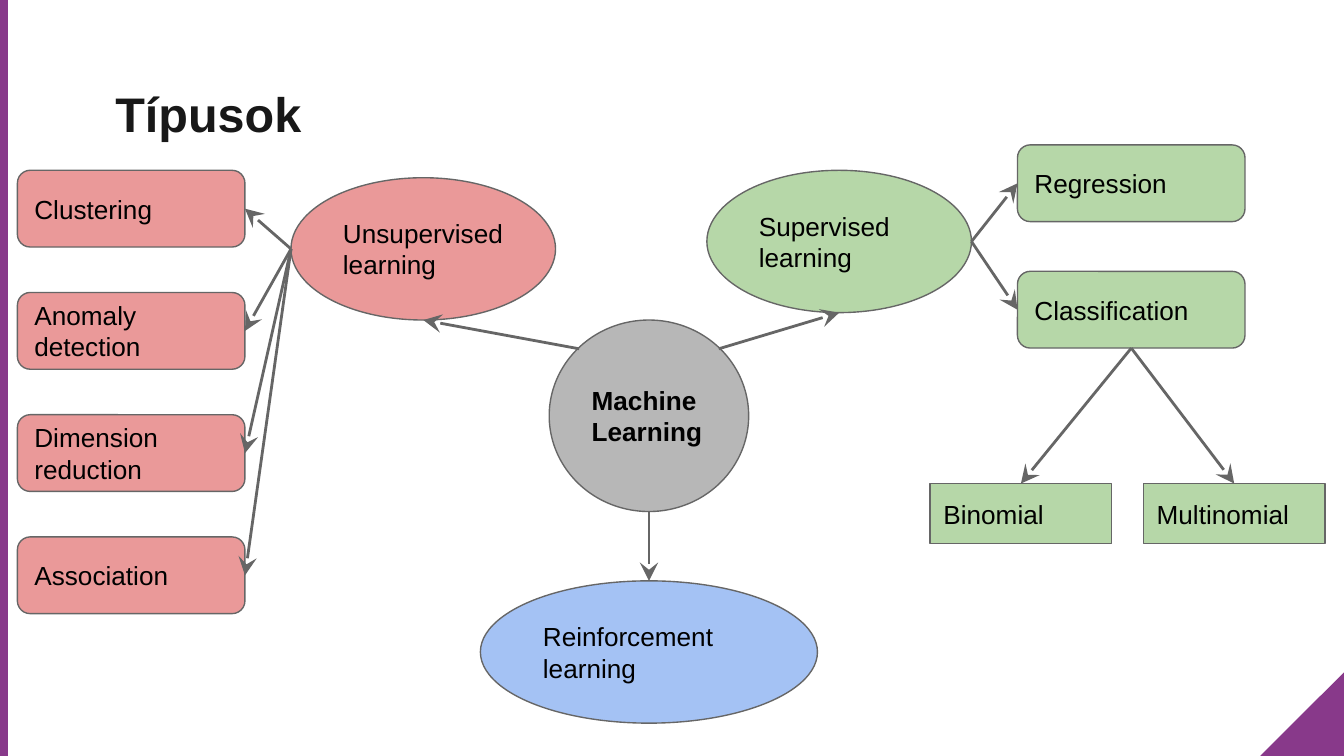
import pptx
import pptx.dml.color
import pptx.enum.shapes
import pptx.enum.text
import pptx.oxml
import pptx.oxml.ns
import pptx.util

Cm = pptx.util.Cm
Pt = pptx.util.Pt
SHAPE = pptx.enum.shapes.MSO_SHAPE
ANCHOR = pptx.enum.text.MSO_ANCHOR

PURPLE, GREEN, RED, BLUE, GREY = "88398A", "B6D7A8", "EA9999", "A4C2F4", "B7B7B7"
TOP, LEFT, BOTTOM, RIGHT = (0.5, 0), (0, 0.5), (0.5, 1), (1, 0.5)
UPPER_LEFT, UPPER_RIGHT = (0.15, 0.15), (0.85, 0.15)
SITES = [TOP, LEFT, BOTTOM, RIGHT]


def rgb(value):
    return pptx.dml.color.RGBColor.from_string(value)


def write(sp, text, size=14, color="000000", bold=False, anchor=ANCHOR.MIDDLE, spacing=1.0):
    tf = sp.text_frame
    tf.word_wrap = True
    tf.vertical_anchor = anchor
    tf.margin_left = tf.margin_right = tf.margin_top = tf.margin_bottom = Cm(0.25)
    p = tf.paragraphs[0]
    p.alignment = pptx.enum.text.PP_ALIGN.LEFT
    p.line_spacing = spacing
    r = p.add_run()
    r.text = text
    r.font.name = "Arial"
    r.font.size = Pt(size)
    r.font.bold = bold
    r.font.color.rgb = rgb(color)


class Diagram:
    line_color = "666666"

    def __init__(self, slide):
        self.s = slide

    def shape(self, kind, x, y, w, h, fill):
        sp = self.s.shapes.add_shape(kind, Cm(x), Cm(y), Cm(w), Cm(h))
        sp.shadow.inherit = False
        sp.fill.solid()
        sp.fill.fore_color.rgb = rgb(fill)
        sp.line.fill.background()
        return sp

    def title(self, text, x, y, w, h):
        sp = self.s.shapes.add_textbox(Cm(x), Cm(y), Cm(w), Cm(h))
        write(sp, text, size=26, color="181818", bold=True, anchor=ANCHOR.TOP, spacing=1.15)

    def node(self, kind, text, x, y, w, h, fill, bold=False):
        sp = self.shape(kind, x, y, w, h, fill)
        sp.line.color.rgb = rgb(self.line_color)
        sp.line.width = Pt(0.75)
        write(sp, text, bold=bold)
        return sp

    def ellipse(self, text, x, y, w, h, fill, bold=False):
        return self.node(SHAPE.OVAL, text, x, y, w, h, fill, bold)

    def card(self, text, x, y, fill):
        return self.node(SHAPE.FLOWCHART_ALTERNATE_PROCESS, text, x, y, 4.3, 1.45, fill)

    def leaf(self, text, x, y, fill):
        return self.node(SHAPE.RECTANGLE, text, x, y, 3.43, 1.14, fill)

    def arrow(self, start, start_side, end, end_side):
        points = []
        for sp, (fx, fy) in ((start, start_side), (end, end_side)):
            points += [int(sp.left + fx * sp.width), int(sp.top + fy * sp.height)]
        c = self.s.shapes.add_connector(pptx.enum.shapes.MSO_CONNECTOR.STRAIGHT, *points)
        if start.auto_shape_type != SHAPE.OVAL:
            c.begin_connect(start, SITES.index(start_side))
        if end.auto_shape_type != SHAPE.OVAL:
            c.end_connect(end, SITES.index(end_side))
        c.line.color.rgb = rgb(self.line_color)
        c.line.width = Pt(1.5)
        ln = c.line._get_or_add_ln()
        tail = pptx.oxml.ns.qn("a:tailEnd")
        ln.append(ln.makeelement(tail, {"type": "stealth", "w": "lg", "len": "lg"}))
        sp_pr = c._element.spPr
        sp_pr.append(sp_pr.makeelement(pptx.oxml.ns.qn("a:effectLst"), {}))


def main():
    prs = pptx.Presentation()
    prs.slide_width, prs.slide_height = Cm(25.4), Cm(14.29)
    d = Diagram(prs.slides.add_slide(prs.slide_layouts[6]))

    corner = d.shape(SHAPE.RIGHT_TRIANGLE, 23.82, 12.71, 1.58, 1.58, PURPLE)
    corner._element.spPr.find(pptx.oxml.ns.qn("a:xfrm")).set("flipH", "1")
    d.shape(SHAPE.RECTANGLE, 0, 0, 0.15, 14.29, PURPLE)
    d.title("Típusok", 1.93, 1.17, 8.97, 2.39)

    supervised = d.ellipse("Supervised learning", 13.36, 3.22, 5, 2.69, GREEN)
    unsupervised = d.ellipse("Unsupervised learning", 5.5, 3.36, 5, 2.69, RED)
    reinforcement = d.ellipse("Reinforcement learning", 9.08, 10.98, 6.37, 2.69, BLUE)
    machine = d.ellipse("Machine Learning", 10.38, 6.05, 3.77, 3.62, GREY, bold=True)

    d.arrow(machine, UPPER_RIGHT, supervised, BOTTOM)
    d.arrow(machine, BOTTOM, reinforcement, TOP)
    d.arrow(machine, UPPER_LEFT, unsupervised, BOTTOM)

    methods = ["Clustering", "Anomaly detection", "Dimension reduction", "Association"]
    for i, text in enumerate(methods):
        d.arrow(unsupervised, LEFT, d.card(text, 0.33, 3.22 + 2.31 * i, RED), RIGHT)

    regression = d.card("Regression", 19.23, 2.74, GREEN)
    classification = d.card("Classification", 19.23, 5.13, GREEN)
    for card in (regression, classification):
        d.arrow(supervised, RIGHT, card, LEFT)

    for i, text in enumerate(["Binomial", "Multinomial"]):
        d.arrow(classification, BOTTOM, d.leaf(text, 17.58 + 4.03 * i, 9.14, GREEN), TOP)

    prs.save("out.pptx")


if __name__ == "__main__":
    main()
